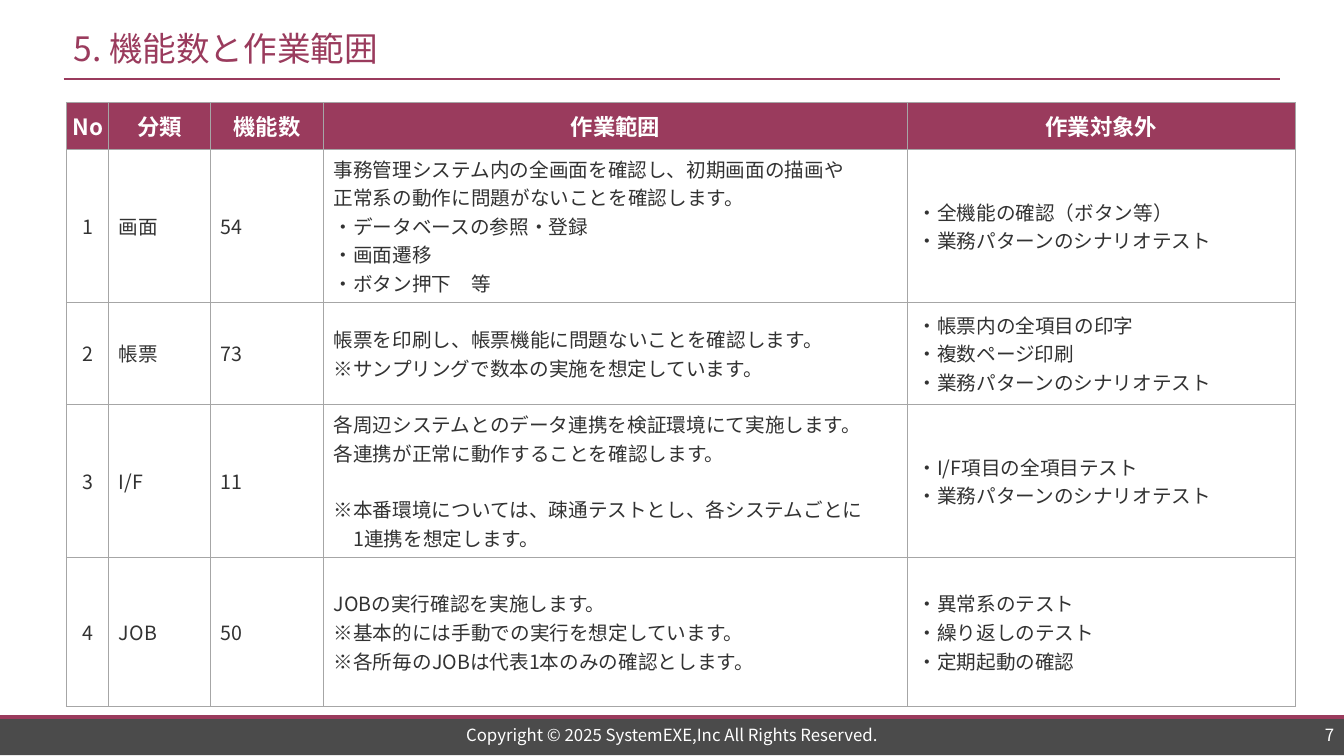
import pptx
import pptx.util
import pptx.dml.color
import pptx.enum.shapes
import pptx.enum.text
import pptx.oxml
import pptx.oxml.ns

ALIGN = pptx.enum.text.PP_ALIGN
MID = pptx.enum.text.MSO_ANCHOR.MIDDLE
WINE, DARK, GREY, INK, WHITE = "9A3B5D", "4B4B4B", "A6A6A6", "323232", "FFFFFF"

HEAD = ["No", "分類", "機能数", "作業範囲", "作業対象外"]
ROWS = [
    ["1", "画面", "54",
     ["事務管理システム内の全画面を確認し、初期画面の描画や",
      "正常系の動作に問題がないことを確認します。",
      "・データベースの参照・登録", "・画面遷移", "・ボタン押下　等"],
     ["・全機能の確認（ボタン等）", "・業務パターンのシナリオテスト"]],
    ["2", "帳票", "73",
     ["帳票を印刷し、帳票機能に問題ないことを確認します。",
      "※サンプリングで数本の実施を想定しています。"],
     ["・帳票内の全項目の印字", "・複数ページ印刷", "・業務パターンのシナリオテスト"]],
    ["3", "I/F", "11",
     ["各周辺システムとのデータ連携を検証環境にて実施します。",
      "各連携が正常に動作することを確認します。",
      "※本番環境については、疎通テストとし、各システムごとに\v　1連携を想定します。"],
     ["・I/F項目の全項目テスト\v・業務パターンのシナリオテスト"]],
    ["4", "JOB", "50",
     ["JOBの実行確認を実施します。",
      "※基本的には手動での実行を想定しています。",
      "※各所毎のJOBは代表1本のみの確認とします。"],
     ["・異常系のテスト", "・繰り返しのテスト", "・定期起動の確認"]],
]
WIDTHS = [3.15, 7.58, 8.4, 43.44, 28.88]
HEIGHTS = [6.13, 20.27, 13.47, 20.27, 19.73]


def tint(code):
    return pptx.dml.color.RGBColor.from_string(code)


class Deck:
    """Draws on one slide, with places given in percent of its width and height."""

    font = "Noto Sans CJK JP"

    def __init__(self):
        self.file = pptx.Presentation()
        self.file.slide_width = pptx.util.Inches(13.33)
        self.file.slide_height = pptx.util.Inches(7.5)
        self.slide = self.file.slides.add_slide(self.file.slide_layouts[6])
        self.shapes = self.slide.shapes

    def wide(self, share):
        return round(self.file.slide_width * share / 100)

    def high(self, share):
        return round(self.file.slide_height * share / 100)

    def area(self, x, y, w, h):
        return self.wide(x), self.high(y), self.wide(w), self.high(h)

    def style(self, frame, size, color, align=ALIGN.LEFT, bold=False):
        for para in frame.paragraphs:
            para.alignment = align
            for run in para.runs:
                run.font.size = pptx.util.Pt(size)
                run.font.bold = bold
                run.font.color.rgb = tint(color)
                run.font.name = self.font
                east = pptx.oxml.parse_xml(
                    f'<a:ea {pptx.oxml.ns.nsdecls("a")} typeface="{self.font}"/>')
                run.font._element.append(east)

    def bar(self, place, color):
        shape = self.shapes.add_shape(
            pptx.enum.shapes.MSO_SHAPE.RECTANGLE, *self.area(*place))
        shape.shadow.inherit = False
        shape.fill.solid()
        shape.fill.fore_color.rgb = tint(color)
        shape.line.fill.background()

    def rule(self, left, right, y, color, size):
        line = self.shapes.add_connector(
            pptx.enum.shapes.MSO_CONNECTOR.STRAIGHT,
            self.wide(left), self.high(y), self.wide(right), self.high(y))
        line.line.color.rgb = tint(color)
        line.line.width = pptx.util.Pt(size)
        line._element.spPr.append(
            pptx.oxml.parse_xml(f'<a:effectLst {pptx.oxml.ns.nsdecls("a")}/>'))

    def text(self, place, words, size, color, align=ALIGN.LEFT, wrap=True):
        frame = self.shapes.add_textbox(*self.area(*place)).text_frame
        frame.word_wrap = wrap
        frame.vertical_anchor = MID
        frame.text = words
        self.style(frame, size, color, align)

    def edge(self, cell, color, size):
        props = cell._tc.get_or_add_tcPr()
        for spot, side in enumerate("LRTB"):
            props.insert(spot, pptx.oxml.parse_xml(
                f'<a:ln{side} {pptx.oxml.ns.nsdecls("a")} w="{size * 12700}">'
                f'<a:solidFill><a:srgbClr val="{color}"/></a:solidFill></a:ln{side}>'))

    def cell(self, cell, words, head, tight):
        cell.vertical_anchor = MID
        if tight:
            cell.margin_left = cell.margin_right = pptx.util.Inches(0.04)
            cell.margin_top = cell.margin_bottom = pptx.util.Inches(0.04)
        if head:
            cell.fill.solid()
            cell.fill.fore_color.rgb = tint(WINE)
        else:
            cell.fill.background()
        lines = [words] if isinstance(words, str) else words
        frame = cell.text_frame
        for spot, line in enumerate(lines):
            para = frame.add_paragraph() if spot else frame.paragraphs[0]
            para.text = line
            if spot and line.startswith("※本番"):
                para.space_before = pptx.util.Pt(20)
        self.style(frame, 16 if head else 14, WHITE if head else INK,
                   ALIGN.CENTER if tight else ALIGN.LEFT, head)
        self.edge(cell, GREY, 1)

    def table(self, x, y, widths, heights, rows):
        place = self.area(x, y, sum(widths), sum(heights))
        table = self.shapes.add_table(len(heights), len(widths), *place).table
        table.first_row = table.horz_banding = False
        for col, width in zip(table.columns, widths):
            col.width = self.wide(width)
        for row, height in zip(table.rows, heights):
            row.height = self.high(height)
        for r, row in enumerate(rows):
            for c, words in enumerate(row):
                self.cell(table.cell(r, c), words, r == 0, r == 0 or c == 0)


def main():
    deck = Deck()
    deck.bar((0, 94.67, 100, 5.2), DARK)
    deck.rule(0, 100, 94.8, WINE, 2.75)
    deck.rule(4.73, 95.27, 10.4, WINE, 1.5)
    deck.text((4.73, 2.67, 90.55, 7.33), "5. 機能数と作業範囲", 24, WINE, wrap=False)
    deck.text((24.9, 95.6, 50.2, 3.2),
              "Copyright © 2025 SystemEXE,Inc All Rights Reserved.",
              12, WHITE, ALIGN.CENTER)
    deck.text((88.2, 95.6, 11.8, 3.2), "7", 12, WHITE, ALIGN.RIGHT)
    deck.table(4.95, 13.6, WIDTHS, HEIGHTS, [HEAD] + ROWS)
    deck.file.save("out.pptx")


if __name__ == "__main__":
    main()
